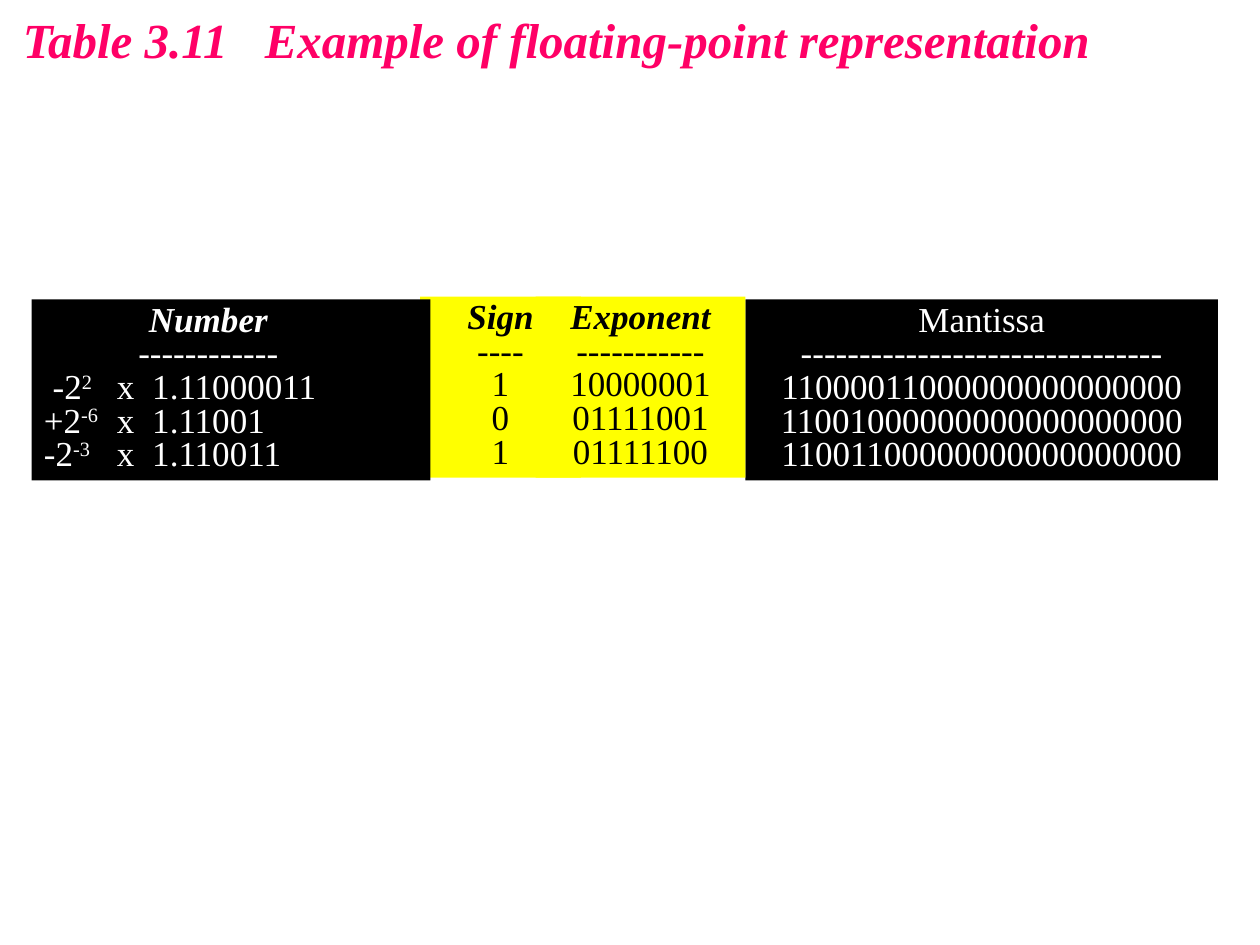
from pptx import Presentation
from pptx.dml.color import RGBColor
from pptx.enum.shapes import MSO_SHAPE
from pptx.enum.text import MSO_ANCHOR, MSO_AUTO_SIZE, PP_ALIGN
from pptx.oxml import parse_xml
from pptx.oxml.ns import nsdecls
from pptx.util import Inches, Pt

RECTANGLE = MSO_SHAPE.RECTANGLE
TOP = MSO_ANCHOR.TOP
GROW = MSO_AUTO_SIZE.SHAPE_TO_FIT_TEXT
LEFT, CENTER = PP_ALIGN.LEFT, PP_ALIGN.CENTER
COLORS = {"title": "FF0066", "black": "000000", "white": "FFFFFF", "yellow": "FFFF00"}

presentation = Presentation()
presentation.slide_width = Inches(10)
presentation.slide_height = Inches(7.5)
slide = presentation.slides.add_slide(presentation.slide_layouts[6])
UNIT = presentation.slide_width / 120  # a grid of 120 columns and 90 rows


def grid(*units):
    return [round(unit * UNIT) for unit in units]


def add_text(paragraph, text, color, size=20, emphasis=False, superscript=False):
    run = paragraph.add_run()
    run.text = text
    run.font.name = "Times New Roman"
    run.font.size = Pt(size)
    run.font.bold = run.font.italic = emphasis
    run.font.color.rgb = RGBColor.from_string(COLORS[color])
    if superscript:
        run._r.get_or_add_rPr().set("baseline", "30000")


# Title, with a tab between the table number and its name
title = slide.shapes.add_textbox(*grid(1, 0.33, 104.75, 6.75))
title.text_frame.word_wrap = False
title.text_frame.auto_size = GROW
title_paragraph = title.text_frame.paragraphs[0]
title_paragraph._p.get_or_add_pPr().append(parse_xml(
    f'<a:tabLst {nsdecls("a")}><a:tab pos="{Inches(1.92)}" algn="l"/></a:tabLst>'))
add_text(title_paragraph, "Table 3.11\tExample of floating-point representation",
         "title", size=28, emphasis=True)

# left, top, width, fill, text colour, heading, emphasised heading, dashes, rows
# Each row is a list of parts; the second part is a superscript.
columns = [
    (40, 28.25, 15.33, "yellow", "black", "Sign", True, 4, [["1"], ["0"], ["1"]]),
    (71, 28.5, 45, "black", "white", "Mantissa", False, 31,
     [["11000011000000000000000"], ["11001000000000000000000"],
      ["11001100000000000000000"]]),
    (3, 28.5, 38, "black", "white", "Number", True, 12,
     [[" -2", "2", "\tx\t1.11000011"], ["+2", "-6", "\tx\t1.11001"],
      ["-2", "-3", "\tx\t1.110011"]]),
    (51, 28.25, 20, "yellow", "black", "Exponent", True, 11,
     [["10000001"], ["01111001"], ["01111100"]]),
]

for left, top, width, fill, color, heading, emphasis, dashes, rows in columns:
    shape = slide.shapes.add_shape(RECTANGLE, *grid(left, top, width, 17.25))
    shape.shadow.inherit = False
    shape.fill.solid()
    shape.fill.fore_color.rgb = RGBColor.from_string(COLORS[fill])
    shape.line.fill.background()
    frame = shape.text_frame
    frame.word_wrap = True
    frame.vertical_anchor = TOP

    paragraph = frame.paragraphs[0]
    paragraph.alignment = CENTER
    paragraph.line_spacing = 0.8
    if heading == "Number":
        paragraph._p.get_or_add_pPr().set("marR", str(Inches(0.36)))
    add_text(paragraph, heading, color, emphasis=emphasis)
    paragraph.add_line_break()
    add_text(paragraph, "-" * dashes, color)

    for parts in rows:
        paragraph = frame.add_paragraph()
        paragraph.alignment = CENTER if len(parts) == 1 else LEFT
        paragraph.line_spacing = 0.8
        if len(parts) > 1:
            paragraph._p.get_or_add_pPr().append(parse_xml(
                f'<a:tabLst {nsdecls("a")}><a:tab pos="{Inches(0.58)}" algn="l"/>'
                f'<a:tab pos="{Inches(0.86)}" algn="l"/></a:tabLst>'))
        for index, part in enumerate(parts):
            add_text(paragraph, part, color, superscript=index == 1)

presentation.save("out.pptx")
